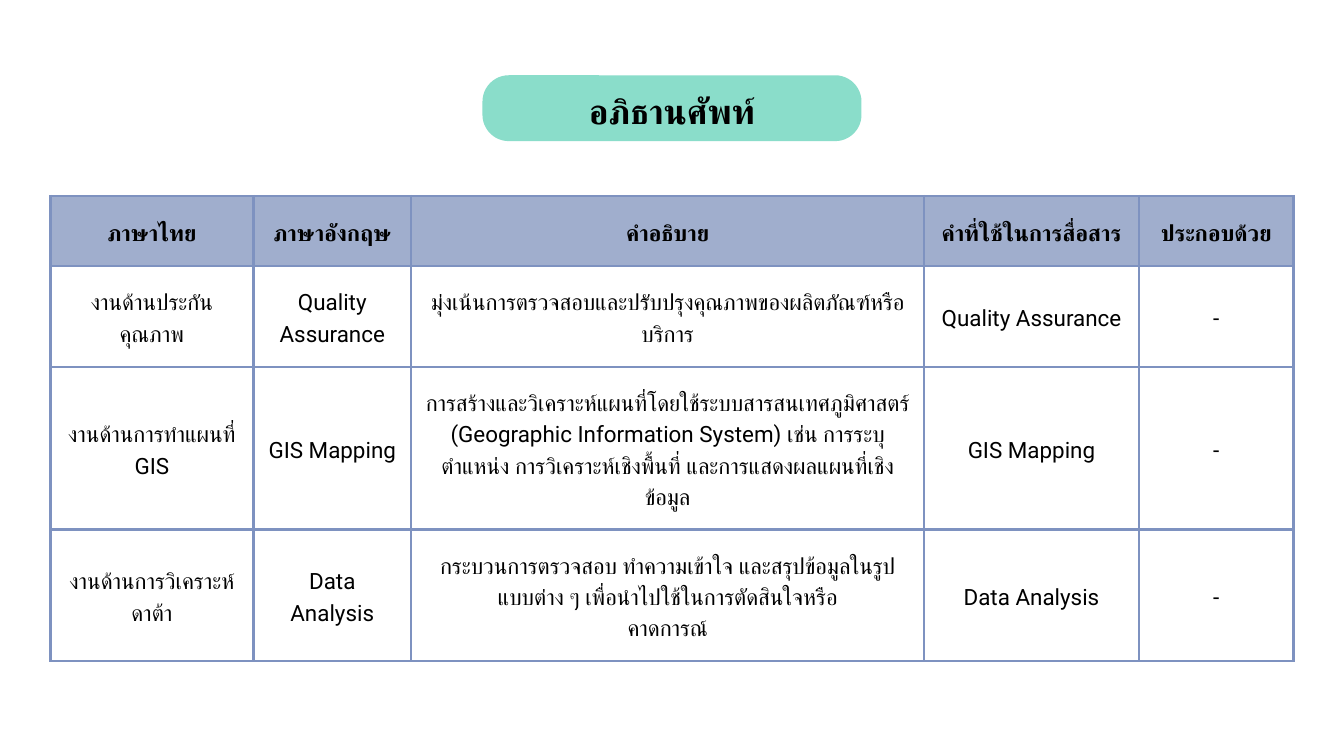
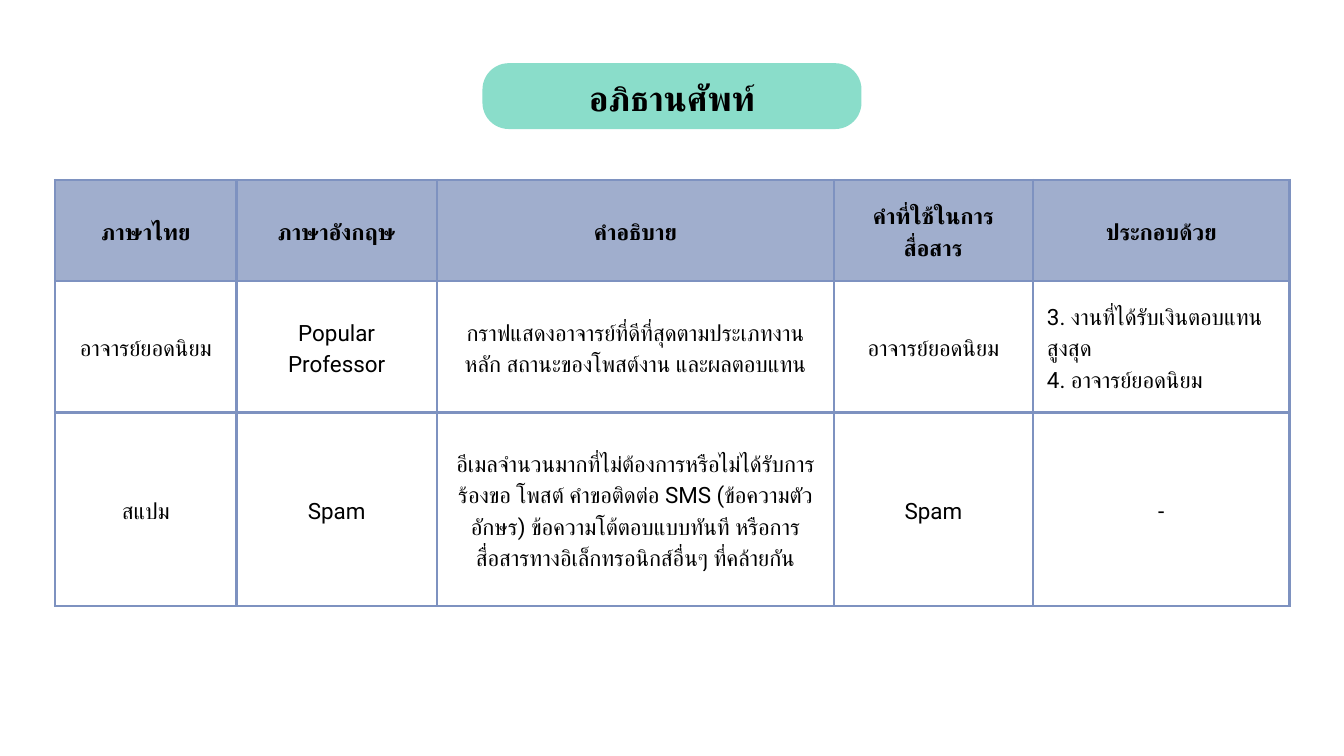
import dataclasses

import pptx
import pptx.dml.color
import pptx.enum.shapes
import pptx.enum.text
import pptx.oxml
import pptx.oxml.ns
import pptx.util
from lxml import etree


@dataclasses.dataclass(frozen=True)
class Theme:
    font: str = "Roboto"
    text: str = "000000"
    band: str = "8ADDCA"
    header: str = "A0AECD"
    border: str = "7E92C0"
    border_width: float = 3
    title_size: float = 37
    title_line: float = 51.7
    cell_size: float = 24
    cell_line: float = 33.6


theme = Theme()
EMU_PER_PX = 9144
CELL_MARGIN = 21
TITLE = "อภิธานศัพท์"
HEADINGS = ["ภาษาไทย", "ภาษาอังกฤษ", "คำอธิบาย", "คำที่ใช้ในการสื่อสาร", "ประกอบด้วย"]

GLOSSARIES = [
    {
        "band_top": 112, "title_top": 124, "table_left": 75, "table_top": 292,
        "columns": [302, 235, 763, 320, 230],
        "rows": [104, 150, 242, 196],
        "terms": [
            ["งานด้านประกันคุณภาพ", "Quality Assurance",
             "มุ่งเน้นการตรวจสอบและปรับปรุงคุณภาพของผลิตภัณฑ์หรือบริการ",
             "Quality Assurance", "-"],
            ["งานด้านการทำแผนที่ GIS", "GIS Mapping",
             "การสร้างและวิเคราะห์แผนที่โดยใช้ระบบสารสนเทศภูมิศาสตร์ "
             "(Geographic Information System) เช่น การระบุตำแหน่ง "
             "การวิเคราะห์เชิงพื้นที่ และการแสดงผลแผนที่เชิงข้อมูล",
             "GIS Mapping", "-"],
            ["งานด้านการวิเคราะห์ดาต้า", "Data Analysis",
             "กระบวนการตรวจสอบ ทำความเข้าใจ และสรุปข้อมูลในรูปแบบต่าง ๆ "
             "เพื่อนำไปใช้ในการตัดสินใจหรือ\nคาดการณ์",
             "Data Analysis", "-"],
        ],
    },
    {
        "band_top": 94, "title_top": 105, "table_left": 82, "table_top": 268,
        "columns": [270, 298, 591, 296, 382],
        "rows": [150, 196, 288],
        "terms": [
            ["อาจารย์ยอดนิยม", "Popular Professor",
             "กราฟแสดงอาจารย์ที่ดีที่สุดตามประเภทงานหลัก สถานะของโพสต์งาน และผลตอบแทน",
             "อาจารย์ยอดนิยม", "3. งานที่ได้รับเงินตอบแทนสูงสุด\n4. อาจารย์ยอดนิยม"],
            ["สแปม", "Spam",
             "อีเมลจำนวนมากที่ไม่ต้องการหรือไม่ได้รับการร้องขอ โพสต์ คำขอติดต่อ SMS "
             "(ข้อความตัวอักษร) ข้อความโต้ตอบแบบทันที "
             "หรือการสื่อสารทางอิเล็กทรอนิกส์อื่นๆ ที่คล้ายกัน",
             "Spam", "-"],
        ],
    },
]


def px(*lengths):
    return [pptx.util.Emu(length * EMU_PER_PX) for length in lengths]


def write_text(text_frame, text, size, line, bold, alignment):
    text_frame.text = text
    for paragraph in text_frame.paragraphs:
        paragraph.alignment = alignment
        paragraph.line_spacing = pptx.util.Pt(line)
        for run in paragraph.runs:
            font_format = {"name": theme.font, "size": pptx.util.Pt(size), "bold": bold}
            for attribute, value in font_format.items():
                setattr(run.font, attribute, value)
            run.font.color.rgb = pptx.dml.color.RGBColor.from_string(theme.text)
            for script in ("a:ea", "a:cs"):
                etree.SubElement(run.font._element, pptx.oxml.ns.qn(script), typeface=theme.font)


align = pptx.enum.text.PP_ALIGN
anchor = pptx.enum.text.MSO_ANCHOR
margin_names = ["margin_left", "margin_top", "margin_right", "margin_bottom"]
cell_format = dict.fromkeys(margin_names, px(CELL_MARGIN)[0])
cell_format["vertical_anchor"] = anchor.MIDDLE
title_format = dict.fromkeys(margin_names, 0)
title_format.update(
    vertical_anchor=anchor.TOP,
    word_wrap=True,
    auto_size=pptx.enum.text.MSO_AUTO_SIZE.SHAPE_TO_FIT_TEXT,
)

presentation = pptx.Presentation()
presentation.slide_width, presentation.slide_height = px(2000, 1125)

for glossary in GLOSSARIES:
    slide = presentation.slides.add_slide(presentation.slide_layouts[5])

    band = slide.shapes.add_shape(
        pptx.enum.shapes.MSO_SHAPE.ROUNDED_RECTANGLE, *px(718, glossary["band_top"], 564, 98))
    band.adjustments[0] = 0.4
    band.shadow.inherit = False
    band.fill.solid()
    band.fill.fore_color.rgb = pptx.dml.color.RGBColor.from_string(theme.band)
    band.line.fill.background()

    columns, rows = glossary["columns"], glossary["rows"]
    table = slide.shapes.add_table(
        len(rows), len(columns),
        *px(glossary["table_left"], glossary["table_top"], sum(columns), sum(rows))).table
    table.first_row = False
    table.horz_banding = False
    for column, width in zip(table.columns, px(*columns)):
        column.width = width
    for row, height in zip(table.rows, px(*rows)):
        row.height = height

    for row_index, texts in enumerate([HEADINGS] + glossary["terms"]):
        is_header = row_index == 0
        for column_index, text in enumerate(texts):
            cell = table.cell(row_index, column_index)
            for attribute, value in cell_format.items():
                setattr(cell, attribute, value)
            if is_header:
                cell.fill.solid()
                cell.fill.fore_color.rgb = pptx.dml.color.RGBColor.from_string(theme.header)
            else:
                cell.fill.background()
            cell_properties = cell._tc.get_or_add_tcPr()
            for position, side in enumerate(("lnL", "lnR", "lnT", "lnB")):
                cell_properties.insert(position, pptx.oxml.parse_xml(
                    f'<a:{side} {pptx.oxml.ns.nsdecls("a")} w="{pptx.util.Pt(theme.border_width)}">'
                    f'<a:solidFill><a:srgbClr val="{theme.border}"/></a:solidFill></a:{side}>'))
            alignment = align.LEFT if text[0].isdigit() else align.CENTER
            write_text(cell.text_frame, text, theme.cell_size, theme.cell_line, is_header, alignment)

    title = slide.shapes.title
    title.left, title.top, title.width, title.height = px(850, glossary["title_top"], 300, 69)
    for attribute, value in title_format.items():
        setattr(title.text_frame, attribute, value)
    write_text(title.text_frame, TITLE, theme.title_size, theme.title_line, True, align.CENTER)
    title.element.getparent().append(title.element)

presentation.save("out.pptx")
